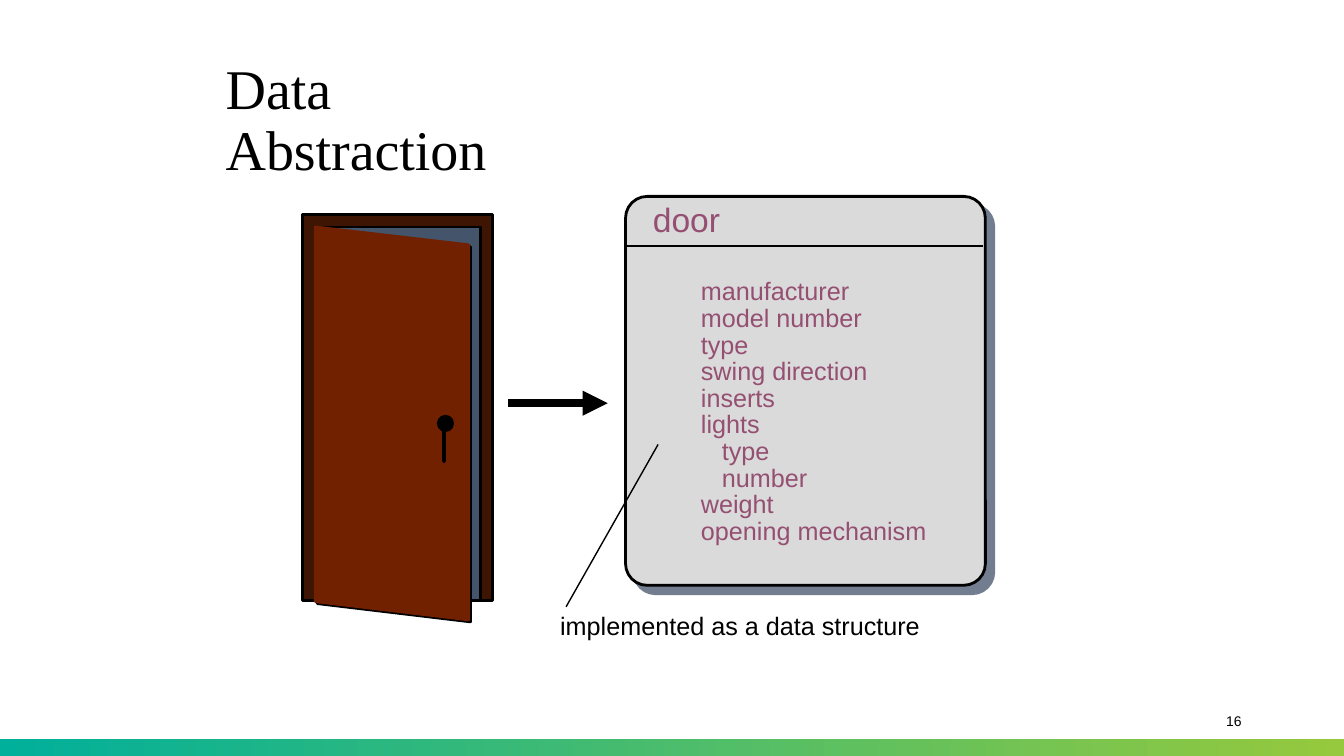
from dataclasses import dataclass
from typing import Optional

from lxml.etree import SubElement
from pptx import Presentation
from pptx.dml.color import RGBColor
from pptx.enum.shapes import MSO_CONNECTOR, MSO_SHAPE
from pptx.enum.text import MSO_ANCHOR, PP_ALIGN
from pptx.oxml.ns import qn
from pptx.util import Cm, Pt


@dataclass(frozen=True)
class Theme:
    black: str = "000000"
    plum: str = "954F72"
    slate: str = "44546A"
    card: str = "DADADA"
    frame: str = "3E1403"
    leaf: str = "712000"
    teal: str = "00B09B"
    lime: str = "96C93D"
    serif: str = "Times New Roman"
    sans: str = "Arial"
    title: int = 40
    head: int = 24
    body: int = 18
    small: int = 10


THEME = Theme()


@dataclass(frozen=True)
class Box:
    left: float
    top: float
    width: float
    height: float
    fill: Optional[str] = None
    line: Optional[str] = THEME.black
    kind: MSO_SHAPE = MSO_SHAPE.RECTANGLE


@dataclass(frozen=True)
class Rule:
    start: tuple[float, float]
    end: tuple[float, float]
    weight: float
    arrow: bool = False


@dataclass(frozen=True)
class Label:
    left: float
    top: float
    width: float
    height: float
    lines: tuple[str, ...]
    size: int
    ink: str = THEME.black
    font: str = THEME.sans
    wrap: bool = False
    pad: tuple[float, float] = (0.25, 0.13)
    align: PP_ALIGN = PP_ALIGN.LEFT
    anchor: MSO_ANCHOR = MSO_ANCHOR.TOP
    pitch: Optional[float | Pt] = None


def paint(shape, fill: Optional[str], line: Optional[str]) -> None:
    shape.shadow.inherit = False
    if fill:
        shape.fill.solid()
        shape.fill.fore_color.rgb = RGBColor.from_string(fill)
    else:
        shape.fill.background()
    if line:
        shape.line.color.rgb = RGBColor.from_string(line)
        shape.line.width = Pt(2)
    else:
        shape.line.fill.background()


def add_box(slide, box: Box):
    shape = slide.shapes.add_shape(
        box.kind, Cm(box.left), Cm(box.top), Cm(box.width), Cm(box.height))
    paint(shape, box.fill, box.line)
    return shape


def add_bar(slide, box: Box) -> None:
    fill = add_box(slide, box).fill
    fill.gradient()
    fill.gradient_angle = 0
    for stop, shade in zip(fill.gradient_stops, (THEME.teal, THEME.lime)):
        stop.color.rgb = RGBColor.from_string(shade)


def add_card(slide, box: Box) -> None:
    shape = add_box(slide, box)
    shape.adjustments[0] = 0.06
    list_ = shape._element.spPr.find(qn("a:effectLst"))
    shade = SubElement(list_, qn("a:outerShdw"), dist=str(Pt(8.5)),
                       dir="2700000", algn="ctr", rotWithShape="0")
    tone = SubElement(shade, qn("a:srgbClr"), val=THEME.slate)
    SubElement(tone, qn("a:alpha"), val="75000")


def add_panel(slide, points: list[tuple[float, float]],
              fill: Optional[str], line: str) -> None:
    spots = [(Cm(x), Cm(y)) for x, y in points]
    form = slide.shapes.build_freeform(*spots[0])
    form.add_line_segments(spots[1:], close=True)
    paint(form.convert_to_shape(), fill, line)


def add_rule(slide, rule: Rule) -> None:
    ends = [Cm(n) for n in rule.start + rule.end]
    link = slide.shapes.add_connector(MSO_CONNECTOR.STRAIGHT, *ends)
    link.line.color.rgb = RGBColor.from_string(THEME.black)
    link.line.width = Pt(rule.weight)
    props = link._element.spPr
    if rule.arrow:
        SubElement(props.find(qn("a:ln")), qn("a:tailEnd"), type="triangle")
    SubElement(props, qn("a:effectLst"))


def add_label(slide, label: Label, inset: tuple[int, ...] = ()) -> None:
    frame = slide.shapes.add_textbox(
        Cm(label.left), Cm(label.top), Cm(label.width), Cm(label.height)).text_frame
    frame.word_wrap = label.wrap
    frame.vertical_anchor = label.anchor
    frame.margin_left = frame.margin_right = Cm(label.pad[0])
    frame.margin_top = frame.margin_bottom = Cm(label.pad[1])
    for row, text in enumerate(label.lines):
        para = frame.paragraphs[0] if row == 0 else frame.add_paragraph()
        para.alignment = label.align
        if label.pitch:
            para.line_spacing = label.pitch
        if row in inset:
            para._p.get_or_add_pPr().set("marL", str(Cm(0.53)))
        run = para.add_run()
        run.text = text
        run.font.name = label.font
        run.font.size = Pt(label.size)
        run.font.color.rgb = RGBColor.from_string(label.ink)


TRAITS = ("manufacturer", "model number", "type", "swing direction", "inserts",
          "lights", "type", "number", "weight", "opening mechanism")
NESTED = (6, 7)
LEAF = [(7.95, 5.72), (11.81, 6.17), (11.81, 15.62), (7.95, 15.16)]
EDGE = [(x + 0.05, y + 0.05) for x, y in LEAF]

LABELS = (
    Label(5.51, 1.47, 7.95, 4.72, ("Data Abstraction",), THEME.title,
          font=THEME.serif, wrap=True, pad=(0.18, 0.08), pitch=0.9),
    Label(23.93, 17.65, 7.62, 1.02, ("16",), THEME.small, wrap=True,
          align=PP_ALIGN.RIGHT, anchor=MSO_ANCHOR.MIDDLE),
    Label(16.21, 4.88, 2.21, 1.27, ("door",), THEME.head, THEME.plum),
    Label(13.87, 15.24, 9.58, 1.02, ("implemented as a data structure",), THEME.body),
)
RULES = (
    Rule((15.77, 6.2), (24.79, 6.2), 2),
    Rule((16.59, 11.2), (14.27, 15.29), 1),
    Rule((12.8, 10.16), (15.32, 10.16), 6, arrow=True),
)
FRAME = (
    Box(7.62, 5.41, 4.8, 9.73, THEME.frame),
    Box(7.95, 5.72, 4.17, 9.42, THEME.slate),
)
HANDLE = (
    Box(11.05, 10.49, 0.36, 0.36, THEME.black, kind=MSO_SHAPE.OVAL),
    Box(11.18, 10.8, 0.03, 0.84, THEME.black),
)


def main() -> None:
    deck = Presentation()
    deck.slide_width, deck.slide_height = Cm(33.88), Cm(19.05)
    slide = deck.slides.add_slide(deck.slide_layouts[6])
    add_bar(slide, Box(0, 18.62, 33.88, 0.43, line=None))
    add_card(slide, Box(15.77, 4.95, 9.07, 9.8, THEME.card,
                        kind=MSO_SHAPE.ROUNDED_RECTANGLE))
    for rule in RULES:
        add_rule(slide, rule)
    for label in LABELS:
        add_label(slide, label)
    add_label(slide, Label(17.42, 6.91, 6.2, 7, TRAITS, THEME.body, THEME.plum,
                           pitch=Pt(19)), NESTED)
    for box in FRAME:
        add_box(slide, box)
    add_panel(slide, EDGE, None, THEME.black)
    add_panel(slide, LEAF, THEME.leaf, THEME.leaf)
    for box in HANDLE:
        add_box(slide, box)
    deck.save("out.pptx")


if __name__ == "__main__":
    main()
